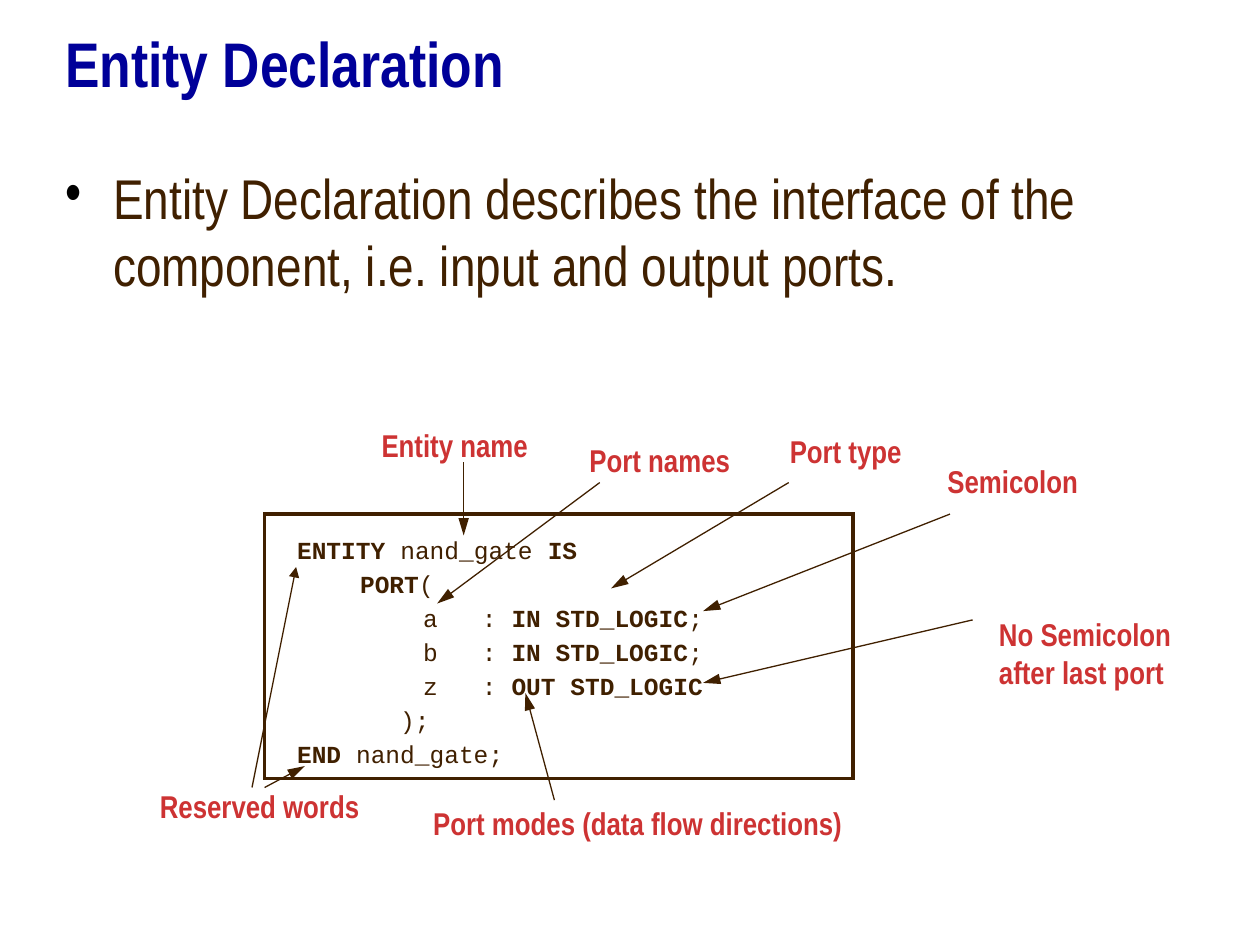
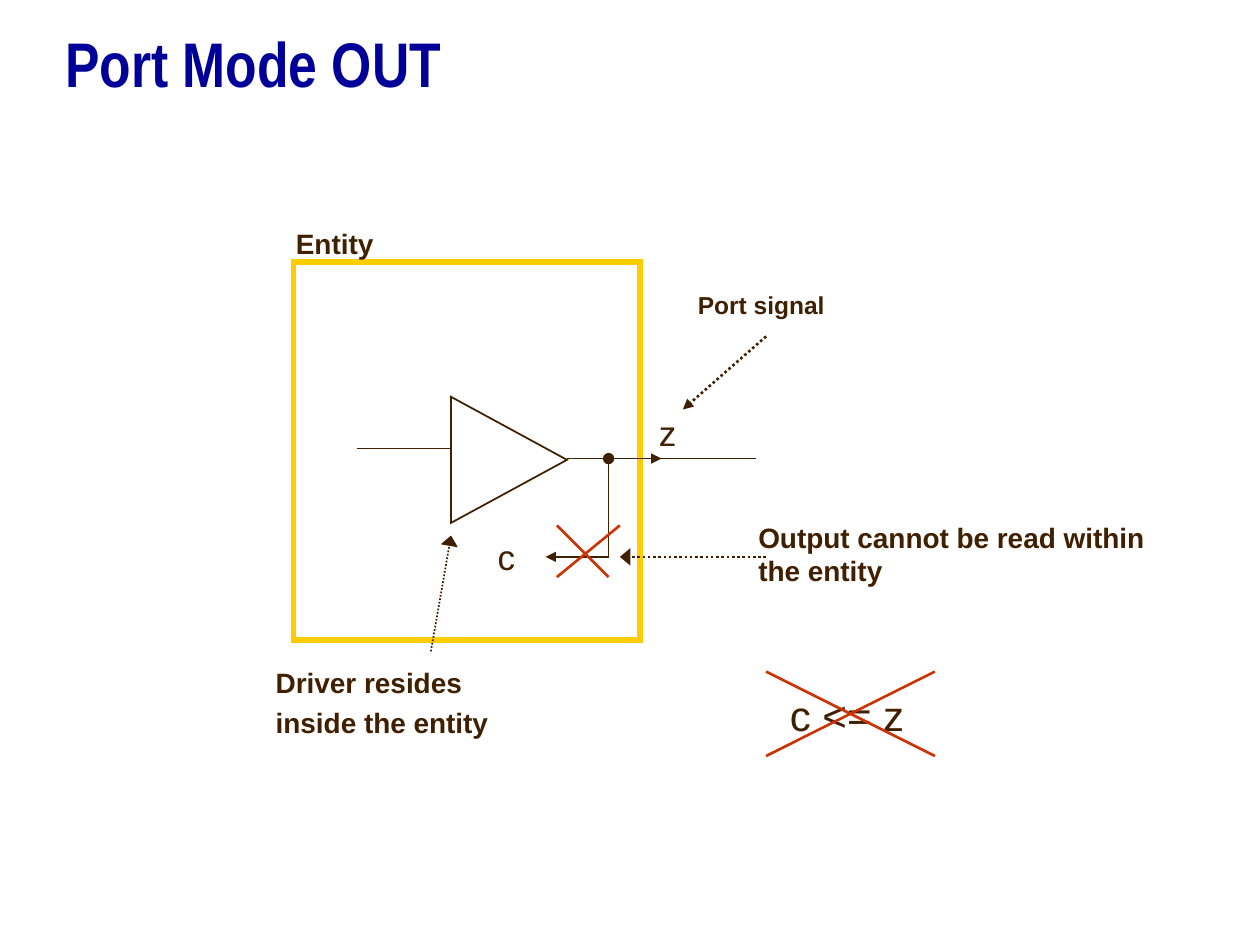
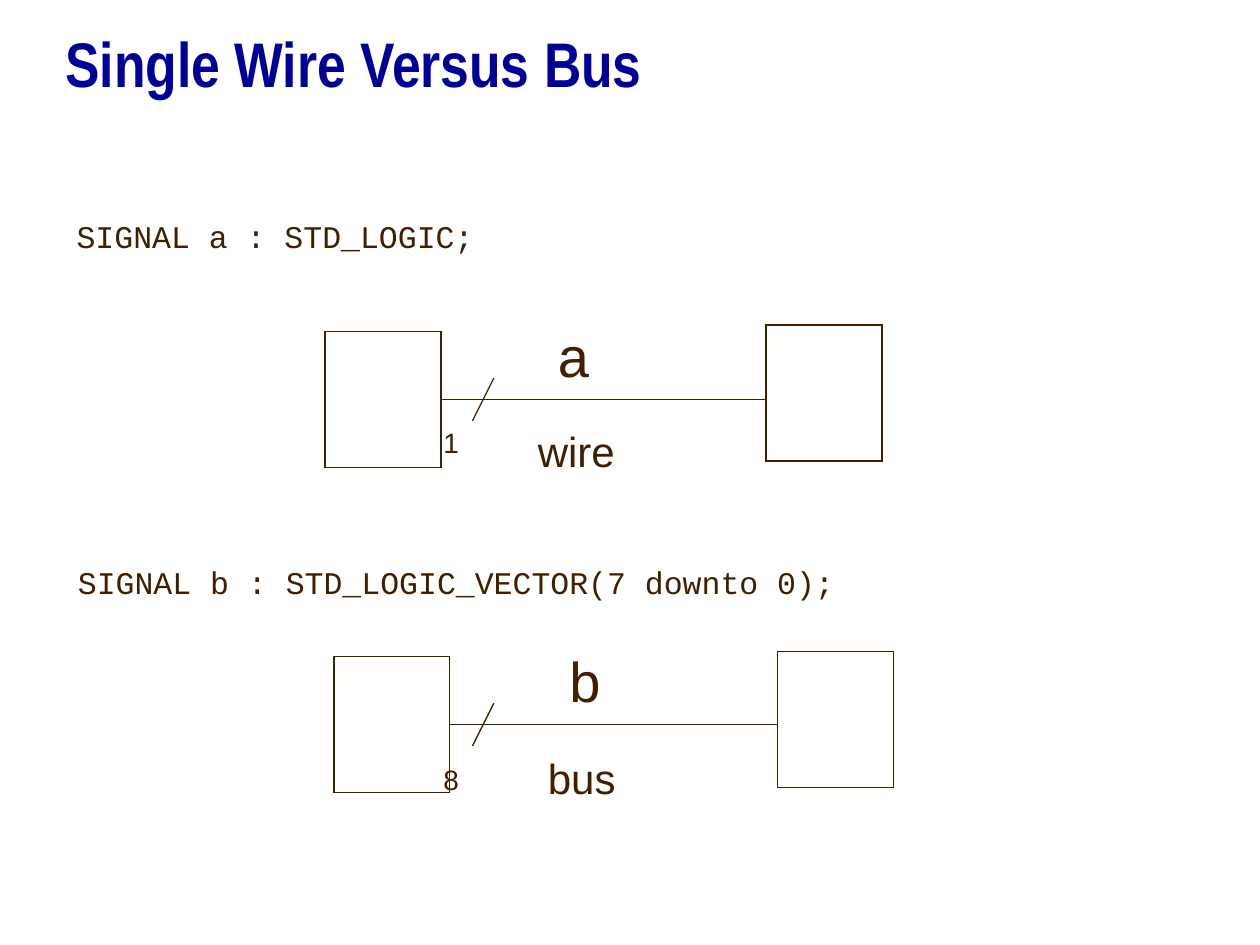
from lxml.etree import SubElement
from pptx import Presentation
from pptx.dml.color import RGBColor
from pptx.enum.dml import MSO_LINE
from pptx.enum.shapes import MSO_CONNECTOR, MSO_SHAPE
from pptx.enum.text import MSO_ANCHOR
from pptx.oxml.ns import qn
from pptx.util import Inches, Pt

# Shared style
BROWN, NAVY, RED, GOLD, CROSS = "402000", "000099", "CD3333", "FFCC00", "CC3300"
SANS, NARROW, MONO = "Arial", "Arial Narrow", "Courier New"

# Slide 1: entity declaration
SUMMARY = ("Entity Declaration describes the interface of the "
           "component, i.e. input and output ports.")
# Each code line is a list of pieces; reserved words are marked True
CODE = [
    [("ENTITY ", True), ("nand_gate ", False), ("IS", True)],
    [("\t", False), ("PORT", True), ("(", False)],
    [("\t\ta   : ", False), ("IN STD_LOGIC", True), (";", False)],
    [("\t\tb   : ", False), ("IN STD_LOGIC", True), (";", False)],
    [("\t\tz   : ", False), ("OUT STD_LOGIC", True)],
    [("       );", False)],
    [("END ", True), ("nand_gate;", False)],
]
CODE_TABS = [0.5, 1]
# Text, place
CALLOUTS = [
    ("Reserved words", (1.17, 6.2, 1.9, 0.4)),
    ("Entity name", (2.93, 3.33, 1.5, 0.4)),
    ("Port names", (4.58, 3.45, 1.45, 0.4)),
    ("Port type", (6.17, 3.38, 1.2, 0.4)),
    ("Semicolon", (7.42, 3.62, 1.35, 0.4)),
    ("No Semicolon after last port", (7.83, 4.83, 1.71, 0.7)),
    ("Port modes (data flow directions)", (3.34, 6.33, 3.6, 0.4)),
]
# Start, end, head length
CALLOUT_ARROWS = [
    ((2, 6.25), (2.35, 4.5), "med"),
    ((2.1, 6.25), (2.42, 6.08), "lg"),
    ((3.68, 3.67), (3.68, 4.25), "lg"),
    ((4.76, 3.83), (3.47, 4.79), "lg"),
    ((6.26, 3.83), (4.85, 4.67), "lg"),
    ((7.54, 4.08), (5.58, 4.85), "lg"),
    ((7.72, 4.92), (5.58, 5.42), "lg"),
    ((4.4, 6.35), (4.17, 5.5), "lg"),
]

# Slide 2: port mode OUT
# Lines, place, size, bold
PORT_LABELS = [
    (["Entity"], (2.25, 1.75, 0.95, 0.37), 16, True),
    (["Port signal"], (5.44, 2.25, 1.35, 0.34), 14, True),
    (["Driver resides", "inside the entity"], (2.09, 5.23, 2, 0.69), 16, True),
    (["Output cannot be read within the entity"], (5.92, 4.08, 3.58, 0.64), 16, True),
    (["z"], (5.13, 3.22, 0.45, 0.44), 20, False),
    (["c"], (3.85, 4.2, 0.45, 0.44), 20, False),
    (["c <= z"], (6.17, 5.42, 1.25, 0.5), 24, False),
]
# Start, end, has a head
SIGNAL_LINES = [
    ((2.83, 3.56), (3.58, 3.56), False),
    ((4.5, 3.64), (5.25, 3.64), True),
    ((5.17, 3.64), (6, 3.64), False),
    ((4.83, 3.67), (4.83, 4.42), False),
    ((4.83, 4.42), (4.33, 4.42), True),
]
# Start, end, width, head breadth
DOTTED_POINTERS = [
    ((3.42, 5.17), (3.58, 4.25), 1, "lg"),
    ((6.08, 2.67), (5.42, 3.25), 1.5, "med"),
    ((6.08, 4.42), (4.92, 4.42), 1.5, "lg"),
]
CROSS_STROKES = [
    ((6.08, 5.33), (7.42, 6)),
    ((7.42, 5.33), (6.08, 6)),
    ((4.92, 4.17), (4.42, 4.58)),
    ((4.42, 4.17), (4.83, 4.58)),
]

# Slide 3: wire and bus
BLOCK_WIDTH, BLOCK_HEIGHT = 0.92, 1.08
SIGNALS = [
    {"code": ("SIGNAL a : STD_LOGIC;", (0.51, 1.67, 3.5, 0.4)),
     "line_y": 3.17, "blocks": (2.58, 6.08), "right_top": 2.58,
     "labels": [("a", (3.33, 2.5, 1.95, 0.64), 32),
                ("wire", (3.17, 3.33, 2.31, 0.5), 24),
                ("1", (2.42, 3.33, 1.82, 0.37), 16)]},
    {"code": ("SIGNAL b : STD_LOGIC_VECTOR(7 downto 0);", (0.52, 4.42, 6.4, 0.4)),
     "line_y": 5.75, "blocks": (2.65, 6.17), "right_top": 5.17,
     "labels": [("b", (3.42, 5.08, 1.95, 0.64), 32),
                ("bus", (3.25, 5.92, 2.24, 0.5), 24),
                ("8", (2.42, 6, 1.82, 0.37), 16)]},
]


def color(value):
    return RGBColor.from_string(value)


def style_font(font, size, name=SANS, fill=BROWN, bold=False):
    font.size, font.name, font.bold = Pt(size), name, bold
    font.color.rgb = color(fill)


def indent(para, margin, first):
    properties = para._p.get_or_add_pPr()
    properties.set("marL", str(Inches(margin)))
    properties.set("indent", str(Inches(first)))
    return properties


def add_box(page, place):
    frame = page.shapes.add_textbox(*map(Inches, place)).text_frame
    frame.word_wrap = True
    return frame


def add_label(page, lines, place, size, gap=0, **font):
    frame = add_box(page, place)
    for number, line in enumerate(lines):
        para = frame.add_paragraph() if number else frame.paragraphs[0]
        para.text = line
        if number:
            para.space_before = Pt(gap)
        style_font(para.font, size, **font)
    return frame


def add_outline(page, kind, place, line=BROWN, width=0.75, fill=None):
    shape = page.shapes.add_shape(kind, *map(Inches, place))
    shape.shadow.inherit = False
    if fill:
        shape.fill.solid()
        shape.fill.fore_color.rgb = color(fill)
    else:
        shape.fill.background()
    shape.line.color.rgb = color(line)
    shape.line.width = Pt(width)
    # Square corners
    SubElement(shape.line._get_or_add_ln(), qn("a:miter"), lim="800000")
    return shape


def add_line(page, start, end, line=BROWN, width=0.75, head=None, dotted=False):
    """Draw a straight line; head is (breadth, length) of an arrowhead at the end."""
    connector = page.shapes.add_connector(
        MSO_CONNECTOR.STRAIGHT, *map(Inches, (*start, *end)))
    connector.line.color.rgb = color(line)
    connector.line.width = Pt(width)
    if dotted:
        connector.line.dash_style = MSO_LINE.ROUND_DOT
    if head:
        SubElement(connector.line._get_or_add_ln(), qn("a:tailEnd"),
                   type="triangle", w=head[0], len=head[1])
    SubElement(connector._element.spPr, qn("a:effectLst"))
    return connector


def add_page(deck, title):
    page = deck.slides.add_slide(deck.slide_layouts[6])
    frame = add_label(page, [title], (0.42, 0.08, 9.17, 0.83), 36,
                      name=NARROW, fill=NAVY, bold=True)
    frame.vertical_anchor = MSO_ANCHOR.MIDDLE
    return page


def build_entity(deck):
    page = add_page(deck, "Entity Declaration")

    # Bulleted summary
    para = add_box(page, (0.42, 1.25, 9.17, 5.75)).paragraphs[0]
    para.text = SUMMARY
    properties = indent(para, 0.38, -0.38)
    bullet_color = SubElement(properties, qn("a:buClr"))
    SubElement(bullet_color, qn("a:srgbClr"), val="000000")
    SubElement(properties, qn("a:buFont"), typeface=NARROW)
    SubElement(properties, qn("a:buChar"), char="•")
    style_font(para.font, 32, NARROW)

    # Framed code
    frame = add_box(page, (2.26, 4.21, 4.34, 1.94))
    for number, pieces in enumerate(CODE):
        para = frame.add_paragraph() if number else frame.paragraphs[0]
        para.line_spacing = 0.95
        if number:
            para.space_before = Pt(3.5)
        tabs = SubElement(para._p.get_or_add_pPr(), qn("a:tabLst"))
        for stop in CODE_TABS:
            SubElement(tabs, qn("a:tab"), pos=str(Inches(stop)), algn="l")
        for text, reserved in pieces:
            span = para.add_run()
            span.text = text
            style_font(span.font, 14, MONO, bold=reserved)
    add_outline(page, MSO_SHAPE.RECTANGLE, (2.1, 4.08, 4.67, 2.1), width=2)

    # Callouts
    for start, end, length in CALLOUT_ARROWS:
        add_line(page, start, end, head=("med", length))
    for text, place in CALLOUTS:
        add_label(page, [text], place, 18, name=NARROW, fill=RED, bold=True)


def build_port_mode(deck):
    page = add_page(deck, "Port Mode OUT")

    # Entity, driver and signal lines
    add_outline(page, MSO_SHAPE.RECTANGLE, (2.33, 2.08, 2.75, 3), GOLD, 3)
    driver = add_outline(page, MSO_SHAPE.FLOWCHART_EXTRACT, (3.54, 3.19, 1, 0.92), width=1)
    driver.rotation = 90
    for start, end, has_head in SIGNAL_LINES:
        add_line(page, start, end, width=1, head=("med", "med") if has_head else None)
    add_outline(page, MSO_SHAPE.OVAL, (4.79, 3.6, 0.08, 0.08), fill=BROWN)

    # Labels, pointers and crosses
    for lines, place, size, bold in PORT_LABELS:
        add_label(page, lines, place, size, gap=4, bold=bold)
    for start, end, width, breadth in DOTTED_POINTERS:
        add_line(page, start, end, width=width, head=(breadth, "med"), dotted=True)
    for start, end in CROSS_STROKES:
        add_line(page, start, end, CROSS, 1.5)


def build_wire_and_bus(deck):
    page = add_page(deck, "Single Wire Versus Bus")
    for signal in SIGNALS:
        code, place = signal["code"]
        add_label(page, [code], place, 18, name=MONO)

        # Two blocks joined by a line with a slash
        line_y = signal["line_y"]
        left, right = signal["blocks"]
        tops = (line_y - BLOCK_HEIGHT / 2, signal["right_top"])
        source, _ = [
            add_outline(page, MSO_SHAPE.RECTANGLE, (x, top, BLOCK_WIDTH, BLOCK_HEIGHT))
            for x, top in zip((left, right), tops)]
        link = add_line(page, (left + BLOCK_WIDTH, line_y), (right, line_y))
        link.begin_connect(source, 3)
        add_line(page, (3.92, line_y - 0.17), (3.75, line_y + 0.17))

        for text, place, size in signal["labels"]:
            frame = add_label(page, [text], place, size)
            indent(frame.paragraphs[0], 1.25, -0.25)


def main():
    deck = Presentation()
    deck.slide_width, deck.slide_height = Inches(10), Inches(7.5)
    build_entity(deck)
    build_port_mode(deck)
    build_wire_and_bus(deck)
    deck.save("out.pptx")


if __name__ == "__main__":
    main()
